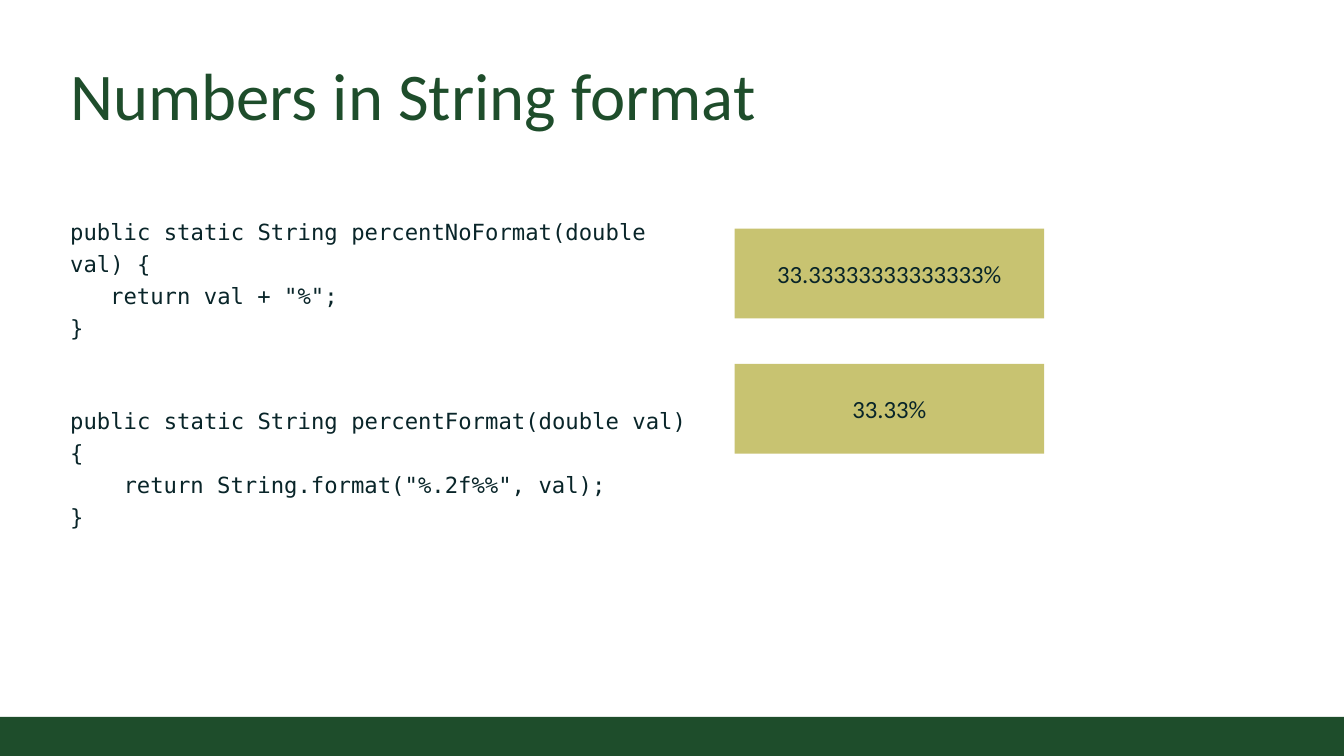
from pptx import Presentation
from pptx.dml.color import RGBColor
from pptx.enum.shapes import MSO_SHAPE
from pptx.enum.text import MSO_ANCHOR, MSO_AUTO_SIZE, PP_ALIGN
from pptx.util import Pt

RECTANGLE = MSO_SHAPE.RECTANGLE
TOP, MIDDLE, BOTTOM = MSO_ANCHOR.TOP, MSO_ANCHOR.MIDDLE, MSO_ANCHOR.BOTTOM
LEFT, CENTER = PP_ALIGN.LEFT, PP_ALIGN.CENTER
NO_AUTOFIT = MSO_AUTO_SIZE.NONE

PX = 9144
GREEN, OLIVE, INK = "1E4D2B", "C8C371", "092529"
CODE_CHAR = 15
CODE_LINES = [
    ("public static String percentNoFormat(double val) {", 0, 6),
    ("return val + \"%\";", 3, 0),
    ("}", 0, 0),
    ("public static String percentFormat(double val) {", 0, 50),
    ("return String.format(\"%.2f%%\", val);", 4, 0),
    ("}", 0, 0),
]
RESULTS = ["33.33333333333333%", "33.33%"]


def add_block(left, top, width, height, color):
    block = slide.shapes.add_shape(RECTANGLE, left * PX, top * PX, width * PX, height * PX)
    block.shadow.inherit = False
    block.fill.solid()
    block.fill.fore_color.rgb = RGBColor.from_string(color)
    block.line.fill.background()
    return block


def format_text(frame, anchor, align, inset_x, inset_y, font, size, color):
    frame.word_wrap = True
    frame.auto_size = NO_AUTOFIT
    frame.vertical_anchor = anchor
    frame.margin_left = frame.margin_right = inset_x * PX
    frame.margin_top = frame.margin_bottom = inset_y * PX
    for paragraph in frame.paragraphs:
        paragraph.alignment = align
        for run in paragraph.runs:
            run.font.name = font
            run.font.size = Pt(size)
            run.font.color.rgb = RGBColor.from_string(color)


prs = Presentation()
prs.slide_width, prs.slide_height = 1511 * PX, 850 * PX
slide = prs.slides.add_slide(prs.slide_layouts[5])

add_block(0, 806, 1511, 44, GREEN)

title = slide.shapes.title
title.left, title.top, title.width, title.height = 69 * PX, 49 * PX, 1374 * PX, 111 * PX
title.text_frame.text = "Numbers in String format"
format_text(title.text_frame, BOTTOM, LEFT, 10, 10, "Calibri", 54, GREEN)

code = slide.shapes.add_textbox(69 * PX, 229 * PX, 738 * PX, 358 * PX).text_frame
code.text = "\n".join(line for line, indent, gap in CODE_LINES)
format_text(code, TOP, LEFT, 10, 10, "DejaVu Sans Mono", 18, INK)
for paragraph, (line, indent, gap) in zip(code.paragraphs, CODE_LINES):
    paragraph.line_spacing = 1.2
    paragraph.space_before = Pt(gap)
    paragraph._p.get_or_add_pPr().set("marL", str(indent * CODE_CHAR * PX))

for row, result in enumerate(RESULTS):
    output = add_block(826, 257 + row * 152, 348, 101, OLIVE)
    output.text_frame.text = result
    format_text(output.text_frame, MIDDLE, CENTER, 30, 20, "Calibri", 20, INK)

prs.save("out.pptx")
